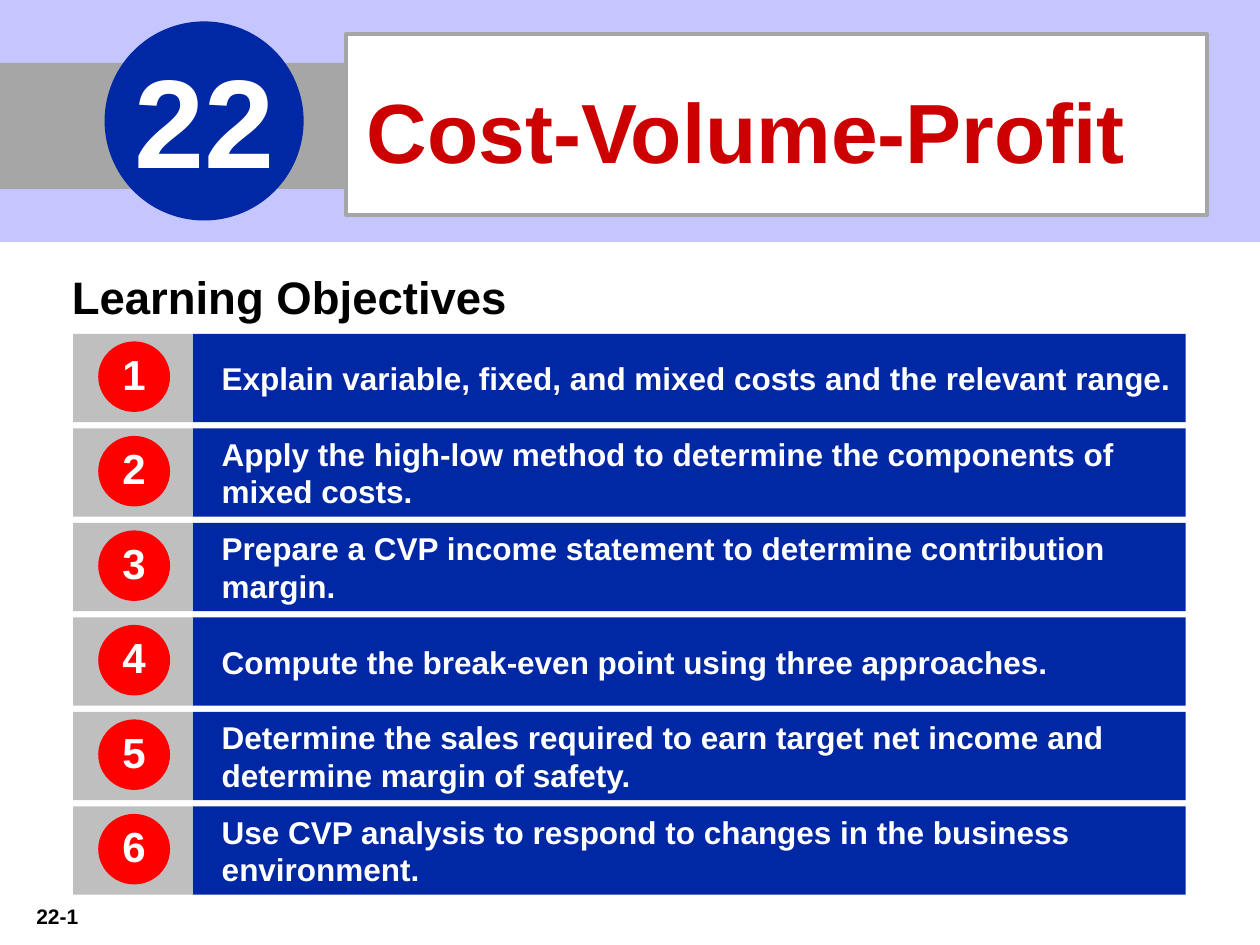
"""Build the chapter 22 opening slide with its learning objectives."""
from pptx import Presentation
from pptx.dml.color import RGBColor
from pptx.enum.shapes import MSO_SHAPE
from pptx.enum.text import MSO_ANCHOR, PP_ALIGN
from pptx.util import Inches, Pt

CHAPTER = "22"
TITLE = "Cost-Volume-Profit"
HEADING = "Learning Objectives"
PAGE = "22-1"
OBJECTIVES = [
    "Explain variable, fixed, and mixed costs and the relevant range.",
    "Apply the high-low method to determine the components of mixed costs.",
    "Prepare a CVP income statement to determine contribution margin.",
    "Compute the break-even point using three approaches.",
    "Determine the sales required to earn target net income and determine margin of safety.",
    "Use CVP analysis to respond to changes in the business environment.",
]

THEME = {
    "font": "Arial",
    "white": "FFFFFF", "black": "000000", "navy": "0027A4", "red": "FF0000",
    "title": "CC0000", "band": "C5C5FF", "bar": "A6A6A6", "tab": "BFBFBF",
    "chapter_size": 72, "title_size": 48, "heading_size": 26,
    "number_size": 24, "objective_size": 18, "page_size": 12,
}

ROW_TOP, ROW_PITCH, ROW_H = 2.65, 0.75, 0.7
TAB_X, TAB_W, OBJECTIVE_W = 0.58, 0.95, 7.88
DEFAULT_INSETS = (0.1, 0.05, 0.1, 0.05)


def color(name):
    return RGBColor.from_string(THEME[name])


def add_shape(slide, kind, box, fill, line=None):
    s = slide.shapes.add_shape(kind, *map(Inches, box))
    s.shadow.inherit = False
    s.fill.solid()
    s.fill.fore_color.rgb = color(fill)
    if line:
        s.line.color.rgb = color(line)
        s.line.width = Pt(2.25)
    else:
        s.line.fill.background()
    return s


def set_text(s, text, role, ink, align=PP_ALIGN.LEFT, insets=DEFAULT_INSETS,
             anchor=MSO_ANCHOR.MIDDLE, spacing=None, wrap=True):
    tf = s.text_frame
    tf.text = text
    tf.word_wrap = wrap
    tf.vertical_anchor = anchor
    tf.margin_left, tf.margin_top, tf.margin_right, tf.margin_bottom = map(Inches, insets)
    p = tf.paragraphs[0]
    p.alignment = align
    if spacing:
        p.line_spacing = spacing
    font = p.runs[0].font
    font.name, font.size, font.bold = THEME["font"], Pt(THEME[role + "_size"]), True
    font.color.rgb = color(ink)


def add_label(slide, box, text, role, **options):
    s = slide.shapes.add_textbox(*map(Inches, box))
    set_text(s, text, role, "black", anchor=MSO_ANCHOR.TOP, **options)


def add_header(slide):
    add_shape(slide, MSO_SHAPE.RECTANGLE, (0, 0, 10, 1.92), "band")
    add_shape(slide, MSO_SHAPE.RECTANGLE, (0, 0.5, 2.75, 1), "bar")
    s = add_shape(slide, MSO_SHAPE.OVAL, (0.83, 0.17, 1.58, 1.58), "navy")
    set_text(s, CHAPTER, "chapter", "white", PP_ALIGN.CENTER, (0, 0, 0, 0.05), wrap=False)
    s = add_shape(slide, MSO_SHAPE.RECTANGLE, (2.75, 0.27, 6.83, 1.44), "white", "bar")
    set_text(s, TITLE, "title", "title", insets=(0.16, 0.05, 0.1, 0.05), spacing=1.1)


def add_objective(slide, number, text):
    top = ROW_TOP + (number - 1) * ROW_PITCH
    add_shape(slide, MSO_SHAPE.RECTANGLE, (TAB_X, top, TAB_W, ROW_H), "tab")
    s = add_shape(slide, MSO_SHAPE.RECTANGLE, (TAB_X + TAB_W, top, OBJECTIVE_W, ROW_H), "navy")
    set_text(s, text, "objective", "white", insets=(0.23, 0.05, 0.1, 0.05))
    s = add_shape(slide, MSO_SHAPE.OVAL, (TAB_X + 0.2, top + 0.06, 0.57, 0.56), "red")
    set_text(s, str(number), "number", "white", PP_ALIGN.CENTER, (0.09, 0, 0.09, 0.05), wrap=False)


def main():
    prs = Presentation()
    prs.slide_width, prs.slide_height = Inches(10), Inches(7.5)
    slide = prs.slides.add_slide(prs.slide_layouts[6])
    add_label(slide, (0.08, 7.12, 0.75, 0.3), PAGE, "page", align=PP_ALIGN.CENTER)
    add_label(slide, (0.48, 2, 4.6, 0.57), HEADING, "heading",
              insets=(0.09, 0.05, 0.09, 0.05), spacing=1.2)
    add_header(slide)
    for number, text in enumerate(OBJECTIVES, 1):
        add_objective(slide, number, text)
    prs.save("out.pptx")


if __name__ == "__main__":
    main()
